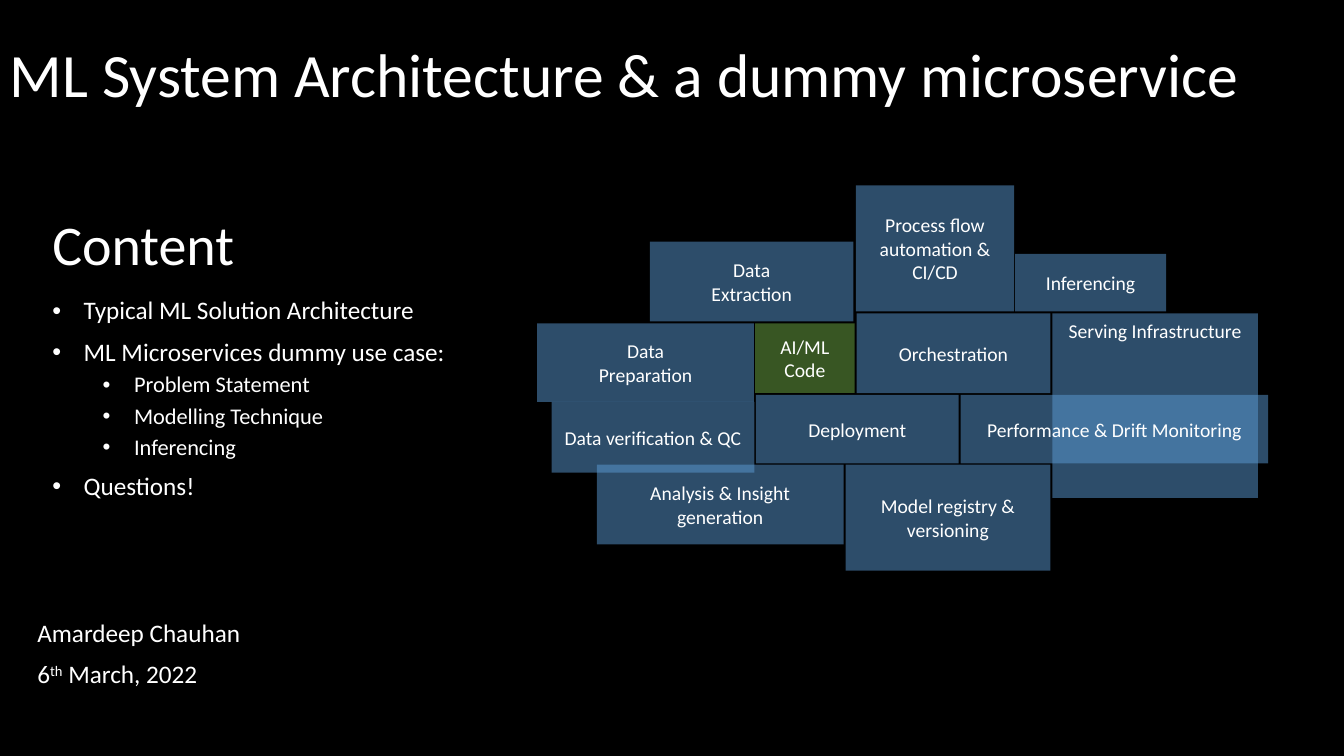
from collections import namedtuple

from lxml import etree
from pptx import Presentation
from pptx.dml.color import RGBColor
from pptx.enum.shapes import MSO_SHAPE
from pptx.enum.text import MSO_ANCHOR, PP_ALIGN
from pptx.oxml.ns import qn
from pptx.util import Cm, Pt

RECTANGLE = MSO_SHAPE.RECTANGLE
TOP, MIDDLE, BOTTOM = MSO_ANCHOR.TOP, MSO_ANCHOR.MIDDLE, MSO_ANCHOR.BOTTOM
CENTER = PP_ALIGN.CENTER
FONT = "Calibri"
COLORS = {"background": "000000", "text": "FFFFFF", "component": "5B9BD5", "code": "70AD47"}

Box = namedtuple("Box", "left top width height")

CONTENT = [
    (0, "Typical ML Solution Architecture"),
    (0, "ML Microservices dummy use case:"),
    (1, "Problem Statement"),
    (1, "Modelling Technique"),
    (1, "Inferencing"),
    (0, "Questions!"),
]

COMPONENTS = [
    ("AI/ML Code", Box(5.49, 3.48, 2.51, 1.75)),
    ("Serving Infrastructure", Box(12.98, 3.23, 5.18, 4.65)),
    ("Performance & Drift Monitoring", Box(10.67, 5.28, 7.75, 1.73)),
    ("Data\nExtraction", Box(2.84, 1.42, 5.13, 2.01)),
    ("Data\nPreparation", Box(0, 3.48, 5.46, 1.98)),
    ("Model registry &\nversioning", Box(7.77, 7.04, 5.16, 2.67)),
    ("Data verification & QC", Box(0.36, 5.46, 5.11, 1.78)),
    ("Analysis & Insight generation", Box(1.5, 7.04, 6.22, 2.01)),
    ("Process flow automation & CI/CD", Box(8.03, 0, 3.99, 3.18)),
    ("Inferencing", Box(12.04, 1.73, 3.81, 1.45)),
    ("Deployment", Box(5.51, 5.28, 5.11, 1.73)),
    ("Orchestration", Box(8.05, 3.23, 4.88, 2.01)),
]


def color(name):
    return RGBColor.from_string(COLORS[name])


def style(paragraph, size, line_spacing=0.9, space_before=0):
    paragraph.font.name = FONT
    paragraph.font.size = Pt(size)
    paragraph.font.color.rgb = color("text")
    paragraph.line_spacing = line_spacing
    paragraph.space_before = Pt(space_before)


def add_text_frame(slide, box, anchor=TOP):
    text_frame = slide.shapes.add_textbox(*map(Cm, box)).text_frame
    text_frame.word_wrap = True
    text_frame.vertical_anchor = anchor
    return text_frame


def add_heading(slide, box, text, size):
    paragraph = add_text_frame(slide, box, BOTTOM).paragraphs[0]
    paragraph.text = text
    style(paragraph, size)


def add_bullet(paragraph, indent, hanging):
    properties = paragraph._p.get_or_add_pPr()
    properties.set("marL", str(Cm(indent)))
    properties.set("indent", str(-Cm(hanging)))
    font = etree.Element(qn("a:buFont"), typeface="Arial")
    character = etree.Element(qn("a:buChar"), char="•")
    defaults = properties.find(qn("a:defRPr"))
    defaults.addprevious(font)
    defaults.addprevious(character)


def add_content(slide, box):
    heading_height, gap = 2.01, 0.27
    add_heading(slide, box._replace(height=heading_height), "Content", 40)
    offset = heading_height + gap
    body = box._replace(top=box.top + offset, height=box.height - offset)
    text_frame = add_text_frame(slide, body)
    text_frame.text = "\n".join(text for _, text in CONTENT)
    for paragraph, (level, _) in zip(text_frame.paragraphs, CONTENT):
        paragraph.level = level
        style(paragraph, 18 - 2 * level, space_before=10 - 5 * level)
        add_bullet(paragraph, 0.79 + 1.27 * level, 0.79)


def add_component(slide, box, text, fill, anchor):
    shape = slide.shapes.add_shape(RECTANGLE, *map(Cm, box))
    shape.shadow.inherit = False
    shape.line.fill.background()
    shape.fill.solid()
    shape.fill.fore_color.rgb = color(fill)
    fill_color = shape._element.spPr.find(qn("a:solidFill"))[0]
    etree.SubElement(fill_color, qn("a:alpha"), val="50000")
    text_frame = shape.text_frame
    text_frame.word_wrap = True
    text_frame.vertical_anchor = anchor
    text_frame.text = text
    for paragraph in text_frame.paragraphs:
        paragraph.alignment = CENTER
        style(paragraph, 14, line_spacing=1.0)


def add_architecture(slide, box):
    for text, part in COMPONENTS:
        place = part._replace(left=box.left + part.left, top=box.top + part.top)
        fill = "code" if text == "AI/ML Code" else "component"
        anchor = TOP if text == "Serving Infrastructure" else MIDDLE
        add_component(slide, place, text, fill, anchor)


def add_author(slide, box):
    text_frame = add_text_frame(slide, box)
    author = text_frame.paragraphs[0]
    author.text = "Amardeep Chauhan"
    date = text_frame.add_paragraph()
    day, ordinal, month = [date.add_run() for _ in range(3)]
    day.text, ordinal.text, month.text = "6", "th", " March, 2022"
    ordinal._r.get_or_add_rPr().set("baseline", "30000")
    for paragraph in (author, date):
        style(paragraph, 18, space_before=10)


def build_slide(presentation):
    slide = presentation.slides.add_slide(presentation.slide_layouts[6])
    slide.background.fill.solid()
    slide.background.fill.fore_color.rgb = color("background")
    add_content(slide, Box(1.07, 5.11, 10.92, 12.62))
    add_architecture(slide, Box(13.54, 4.67, 18.42, 9.7))
    add_heading(slide, Box(0, 0, 32.44, 2.92), "ML System Architecture & a dummy microservice", 44)
    add_author(slide, Box(0.69, 15.52, 10.92, 2.92))


presentation = Presentation()
presentation.slide_width = Cm(33.87)
presentation.slide_height = Cm(19.05)
build_slide(presentation)
presentation.save("out.pptx")
